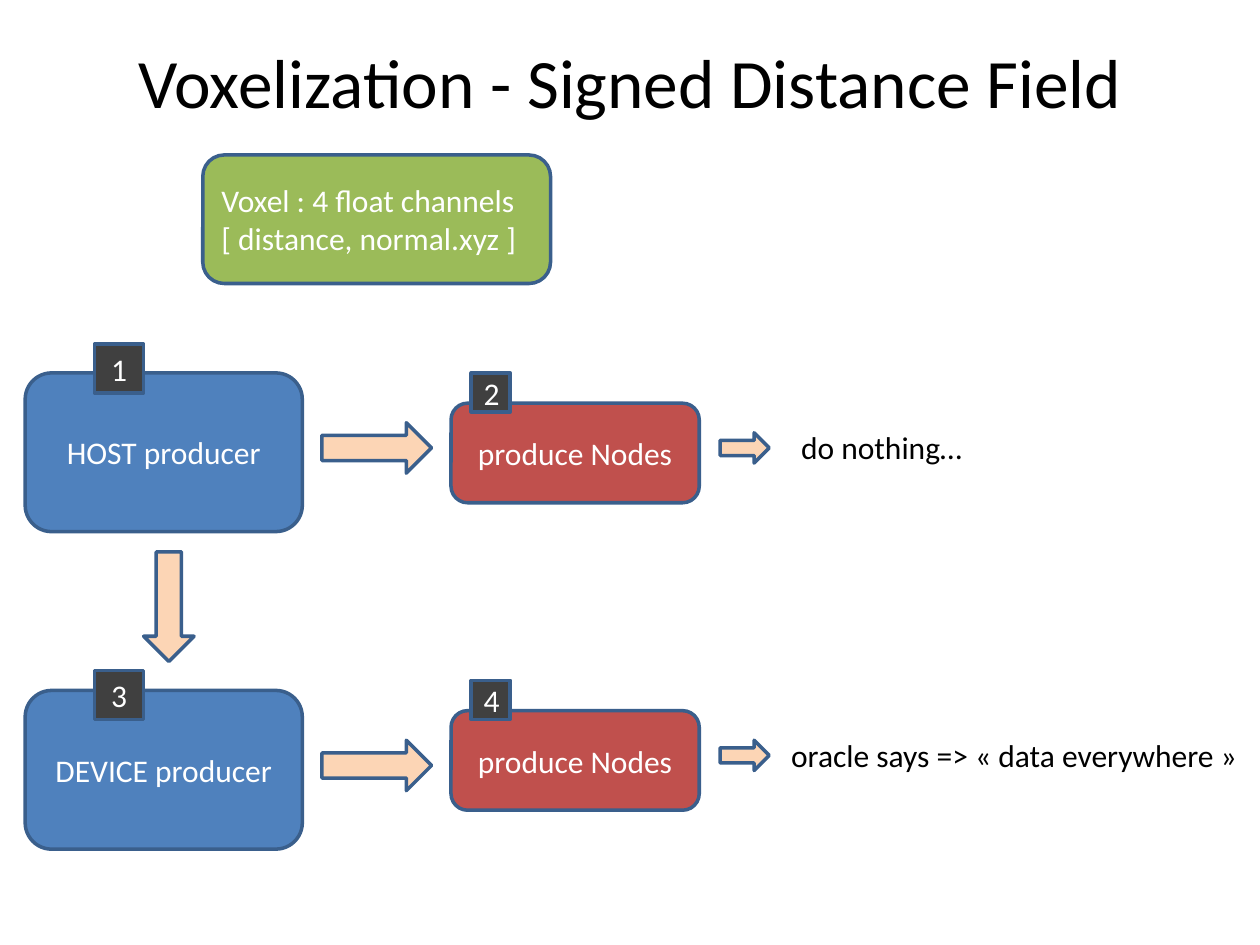
from dataclasses import dataclass

from pptx import Presentation
from pptx.dml.color import RGBColor
from pptx.enum.shapes import MSO_SHAPE
from pptx.enum.text import MSO_ANCHOR, MSO_AUTO_SIZE, PP_ALIGN
from pptx.util import Inches, Pt


@dataclass(frozen=True)
class Theme:
    font: str = "Calibri"
    title_size: float = 39.6
    body_size: float = 18
    line_width: float = 2
    text: str = "000000"
    light: str = "FFFFFF"
    line: str = "3A5F8C"
    producer: str = "4F81BD"
    nodes: str = "C0504D"
    voxel: str = "9BBB59"
    arrow: str = "FCD5B5"
    badge: str = "404040"


THEME = Theme()


def place(sp, at):
    for name, value in zip(("left", "top", "width", "height"), at):
        setattr(sp, name, Inches(value))


def write(sp, lines, color, size=THEME.body_size, align=PP_ALIGN.CENTER, **frame):
    """Fill a text frame, one paragraph a line; frame holds text frame settings."""
    tf = sp.text_frame
    settings = {"word_wrap": True, "vertical_anchor": MSO_ANCHOR.MIDDLE, **frame}
    for name, value in settings.items():
        setattr(tf, name, value)
    tf.text = "\n".join(lines)
    for p in tf.paragraphs:
        p.alignment = align
        for r in p.runs:
            for name, value in {"name": THEME.font, "size": Pt(size)}.items():
                setattr(r.font, name, value)
            r.font.color.rgb = RGBColor.from_string(color)


def add_block(s, kind, at, fill, lines=(), align=PP_ALIGN.CENTER):
    sp = s.shapes.add_shape(kind, *map(Inches, at))
    sp.shadow.inherit = False
    sp.fill.solid()
    sp.fill.fore_color.rgb = RGBColor.from_string(fill)
    sp.line.color.rgb = RGBColor.from_string(THEME.line)
    sp.line.width = Pt(THEME.line_width)
    if lines:
        write(sp, lines, THEME.light, align=align)
    return sp


def add_arrow(s, at, rotation=0):
    add_block(s, MSO_SHAPE.DOWN_ARROW, at, THEME.arrow).rotation = rotation


def add_badge(s, left, top, side, number):
    add_block(s, MSO_SHAPE.RECTANGLE, (left, top, side, side), THEME.badge, [str(number)])


def add_result(s, at, text, wrap):
    sp = s.shapes.add_textbox(*map(Inches, at))
    write(sp, [text], THEME.text, align=PP_ALIGN.LEFT, word_wrap=wrap,
          vertical_anchor=MSO_ANCHOR.TOP, auto_size=MSO_AUTO_SIZE.SHAPE_TO_FIT_TEXT)


def add_stage(s, number, producer, top, badge_top, nodes_top):
    """Add a producer, its nodes block, the arrows after them and two badges."""
    rounded = MSO_SHAPE.ROUNDED_RECTANGLE
    add_block(s, rounded, (0.2, top, 2.2, 1.26), THEME.producer, [producer])
    add_block(s, rounded, (3.58, nodes_top, 1.97, 0.79), THEME.nodes, ["produce Nodes"])
    add_arrow(s, (2.79, top + 0.16, 0.4, 0.87), 270)
    add_arrow(s, (5.79, nodes_top + 0.16, 0.24, 0.39), 270)
    add_badge(s, 0.75, badge_top, 0.39, number)
    add_badge(s, 3.74, nodes_top - 0.24, 0.31, number + 1)


def main():
    prs = Presentation()
    prs.slide_width, prs.slide_height = Inches(10), Inches(7.5)
    s = prs.slides.add_slide(prs.slide_layouts[5])

    title = s.shapes.title
    place(title, (0.75, 0.21, 8.5, 0.87))
    write(title, ["Voxelization - Signed Distance Field"], THEME.text, THEME.title_size,
          auto_size=MSO_AUTO_SIZE.NONE)

    add_block(s, MSO_SHAPE.ROUNDED_RECTANGLE, (1.61, 1.23, 2.76, 1.02), THEME.voxel,
              ["Voxel : 4 float channels", "[ distance, normal.xyz ]"], PP_ALIGN.LEFT)
    add_stage(s, 1, "HOST producer", top=2.96, badge_top=2.73, nodes_top=3.2)
    add_stage(s, 3, "DEVICE producer", top=5.48, badge_top=5.32, nodes_top=5.64)
    add_arrow(s, (1.14, 4.38, 0.4, 0.87))
    add_result(s, (6.26, 3.35, 1.49, 0.4), "do nothing…", wrap=False)
    add_result(s, (6.18, 5.79, 3.82, 0.4), "oracle says => « data everywhere »", wrap=True)

    prs.save("out.pptx")


if __name__ == "__main__":
    main()
